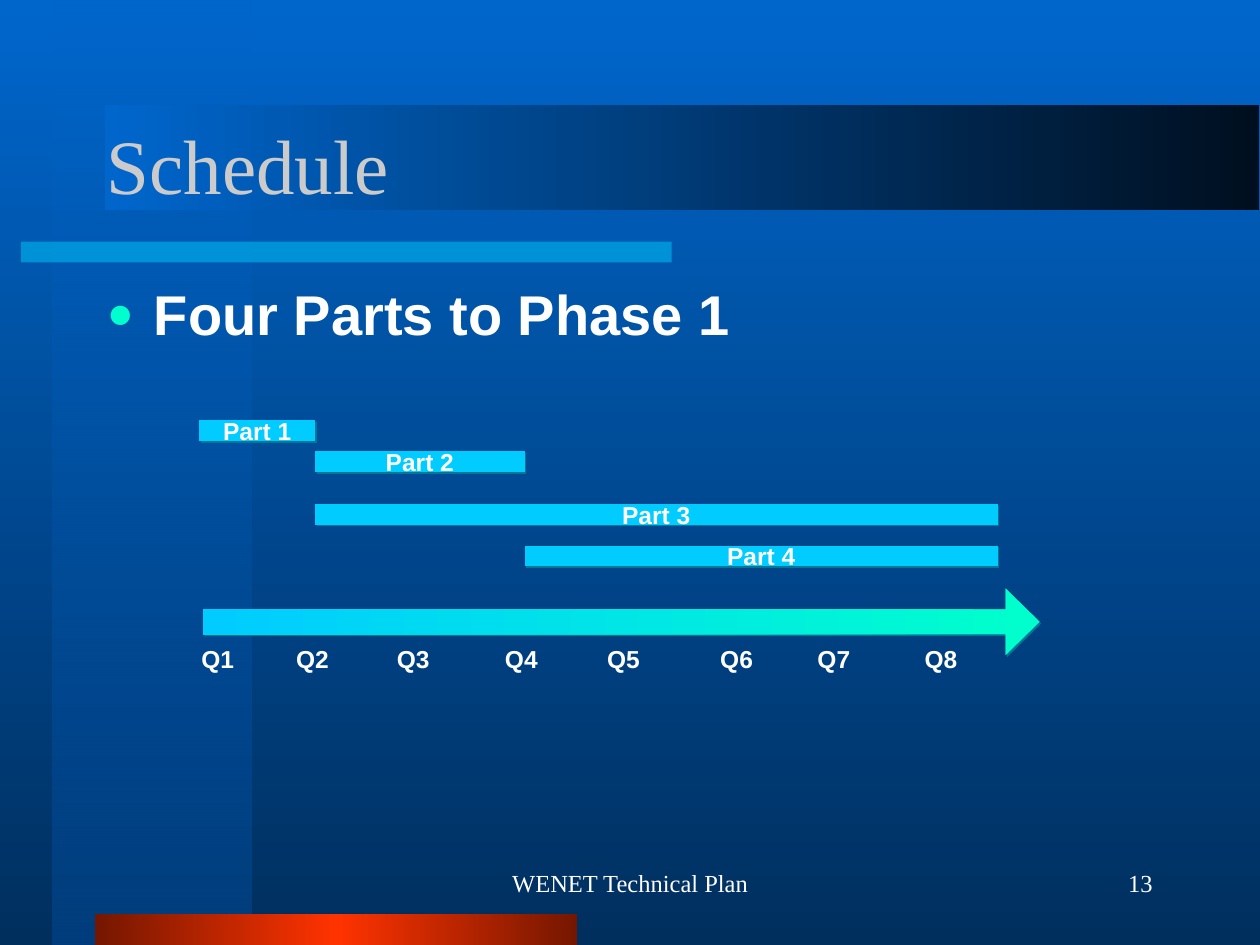
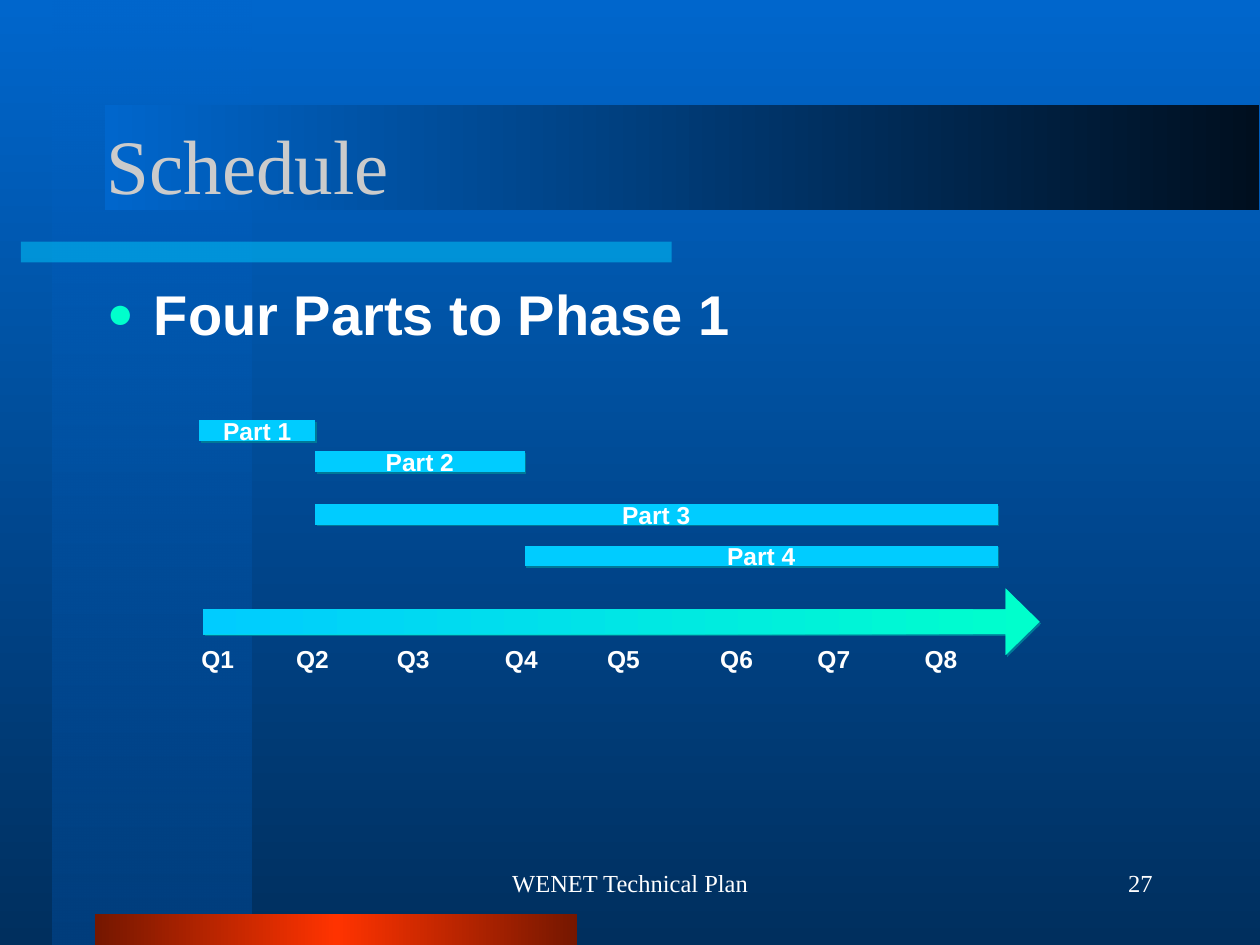
import lxml.etree
import pptx
import pptx.dml.color
import pptx.enum.shapes
import pptx.enum.text
import pptx.oxml.ns
import pptx.util

Cm = pptx.util.Cm
SHAPE = pptx.enum.shapes.MSO_SHAPE
ALIGN = pptx.enum.text.PP_ALIGN
ANCHOR = pptx.enum.text.MSO_ANCHOR
FIT = pptx.enum.text.MSO_AUTO_SIZE

BLUE, NAVY, DEEP, BLACK = "0066CC", "002F5E", "003E7D", "000F1F"
CYAN, MINT, SHADE = "00CCFF", "00FFCC", "007998"
RED, RUST = "FF3300", "751700"
WHITE, GREY = "FFFFFF", "CBCBCB"
SANS, SERIF = "Arial", "Times New Roman"

# Name, start, end and top of each bar, in cm
PARTS = [
    ("Part 1", 4.02, 6.35, 8.47),
    ("Part 2", 6.35, 10.58, 9.1),
    ("Part 3", 6.35, 20.11, 10.16),
    ("Part 4", 10.58, 20.11, 11.0),
]
MARKS = [3.81, 5.72, 7.75, 9.93, 11.99, 14.27, 16.23, 18.39]


def color(code):
    return pptx.dml.color.RGBColor.from_string(code)


def node(parent, tag, **attrs):
    return lxml.etree.SubElement(parent, pptx.oxml.ns.qn(tag), attrs)


def tint(parent, code, alpha=100):
    """Add a colour element, with its opacity in percent."""
    item = node(parent, "a:srgbClr", val=code)
    if alpha < 100:
        node(item, "a:alpha", val=str(alpha * 1000))


def blend(fill, root, stops, angle):
    """Fill with (percent, colour, opacity) stops; angle is counter-clockwise."""
    fill.gradient()
    fill.gradient_angle = angle
    stem = next(root.iter(pptx.oxml.ns.qn("a:gsLst")))
    for old in list(stem):
        stem.remove(old)
    for place, code, alpha in stops:
        tint(node(stem, "a:gs", pos=str(place * 1000)), code, alpha)


def place(item, left, top, width, height):
    item.left, item.top = Cm(left), Cm(top)
    item.width, item.height = Cm(width), Cm(height)


def form(shapes, kind, left, top, width, height, fill=None):
    """Add a preset shape with no line and no shadow."""
    item = shapes.add_shape(kind, Cm(left), Cm(top), Cm(width), Cm(height))
    item.shadow.inherit = False
    item.line.fill.background()
    if fill:
        item.fill.solid()
        item.fill.fore_color.rgb = color(fill)
    return item


def shade(item):
    """Cast a short, hard shadow down to the right."""
    effect = item._element.spPr.find(pptx.oxml.ns.qn("a:effectLst"))
    cast = node(effect, "a:outerShdw", blurRad="0", dist="17780",
                dir="2700000", algn="ctr", rotWithShape="0")
    tint(cast, SHADE)


def write(item, text, size=14, font=SANS, ink=WHITE, bold=False,
          align=ALIGN.LEFT, anchor=ANCHOR.MIDDLE, wrap=True, fit=FIT.NONE):
    frame = item.text_frame
    frame.word_wrap = wrap
    frame.auto_size = fit
    frame.vertical_anchor = anchor
    para = frame.paragraphs[0]
    para.alignment = align
    run = para.add_run()
    run.text = text
    run.font.size = pptx.util.Pt(size)
    run.font.name = font
    run.font.bold = bold
    run.font.color.rgb = color(ink)
    return para


def label(shapes, text, left, top, width, height, **style):
    item = shapes.add_textbox(Cm(left), Cm(top), Cm(width), Cm(height))
    write(item, text, **style)


def dot(para):
    """Give a paragraph a round bullet and a hanging indent."""
    para.space_before = pptx.util.Pt(8)
    props = para._p.get_or_add_pPr()
    props.set("marL", str(Cm(0.95)))
    props.set("indent", str(Cm(-0.95)))
    tint(node(props, "a:buClr"), MINT)
    node(props, "a:buSzPct", val="80000")
    node(props, "a:buFont", typeface=SANS)
    node(props, "a:buChar", char="●")


def dress(layout, shapes):
    """Set background, bands and placeholder places on the layout.

    Layouts cannot add shapes, so the bands are made in shapes and moved.
    """
    blend(layout.background.fill, layout._element,
          [(0, BLUE, 100), (100, NAVY, 100)], 270)
    side = form(shapes, SHAPE.RECTANGLE, 1.06, 0, 4.02, 19.05)
    blend(side.fill, side._element, [(0, BLUE, 50), (100, DEEP, 100)], 270)
    rule = form(shapes, SHAPE.RECTANGLE, 0.42, 4.87, 13.12, 0.42, CYAN)
    tone = next(rule._element.spPr.iter(pptx.oxml.ns.qn("a:srgbClr")))
    node(tone, "a:alpha", val="50000")
    base = form(shapes, SHAPE.RECTANGLE, 1.92, 18.42, 9.72, 0.63)
    blend(base.fill, base._element,
          [(0, RUST, 100), (50, RED, 100), (100, RUST, 100)], 180)
    head = form(shapes, SHAPE.RECTANGLE, 2.12, 2.12, 23.27, 2.12)
    blend(head.fill, head._element, [(0, BLACK, 100), (100, BLUE, 100)], 180)

    title, body = layout.placeholders[0], layout.placeholders[1]
    for num, band in enumerate((side, rule, base, head), 20):
        band._element.nvSpPr.cNvPr.set("id", str(num))
        title._element.addprevious(band._element)
    place(title, 1.9, 1.7, 21.59, 3.18)
    place(body, 1.9, 5.5, 21.59, 11.43)


def axis(slide):
    """Draw the time arrow and its quarter names as one group."""
    shapes = slide.shapes.add_group_shape().shapes
    arrow = form(shapes, SHAPE.RIGHT_ARROW, 4.09, 11.86, 16.87, 1.35)
    arrow.adjustments[0] = 0.37
    arrow.adjustments[1] = 0.51
    blend(arrow.fill, arrow._element, [(0, MINT, 100), (100, CYAN, 100)], 180)
    shade(arrow)
    for num, left in enumerate(MARKS, 1):
        label(shapes, f"Q{num}", left, 12.85, 1.17, 0.86, bold=True,
              anchor=ANCHOR.TOP, wrap=False, fit=FIT.SHAPE_TO_FIT_TEXT)


def bars(slide):
    for name, start, end, top in PARTS:
        bar = form(slide.shapes, SHAPE.FLOWCHART_PROCESS,
                   start, top, end - start, 0.42, CYAN)
        shade(bar)
        write(bar, name, bold=True, align=ALIGN.CENTER, wrap=False)


def plan(slide, page):
    """Fill one schedule slide."""
    write(slide.shapes.title, "Schedule", size=44, font=SERIF, ink=GREY)
    dot(write(slide.placeholders[1], "Four Parts to Phase 1", size=32,
              bold=True, anchor=ANCHOR.TOP))
    axis(slide)
    bars(slide)
    label(slide.shapes, "WENET Technical Plan", 8.68, 17.15, 8.05, 1.27,
          font=SERIF, align=ALIGN.CENTER)
    label(slide.shapes, str(page), 18.2, 17.15, 5.29, 1.27,
          font=SERIF, align=ALIGN.RIGHT)


def main():
    deck = pptx.Presentation()
    deck.slide_width, deck.slide_height = Cm(25.4), Cm(19.05)
    layout = deck.slide_layouts[1]
    slides = [deck.slides.add_slide(layout) for _ in range(2)]
    dress(layout, slides[0].shapes)
    for slide, page in zip(slides, (13, 27)):
        plan(slide, page)
    deck.save("out.pptx")


if __name__ == "__main__":
    main()
